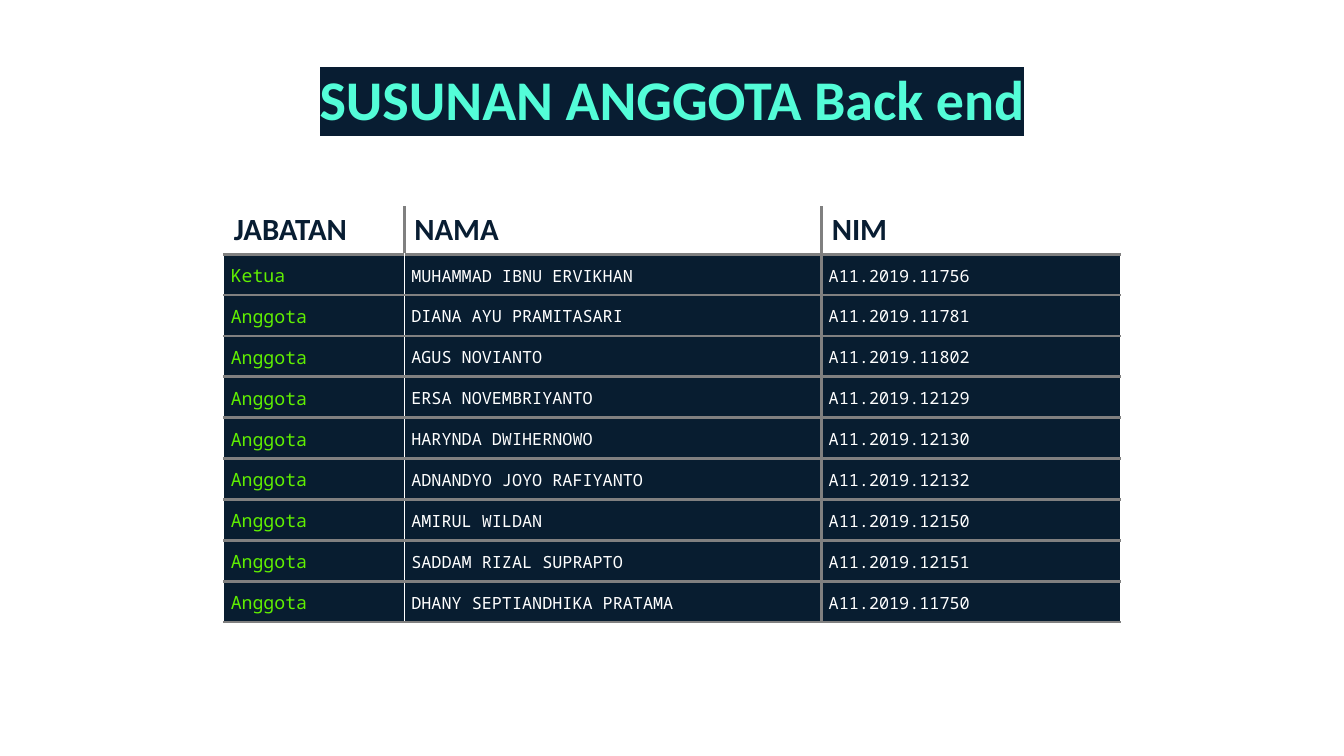
from lxml import etree
from pptx import Presentation
from pptx.dml.color import RGBColor
from pptx.enum.text import MSO_ANCHOR as Anchor, MSO_AUTO_SIZE as AutoSize, PP_ALIGN as Align
from pptx.oxml.ns import qn
from pptx.util import Inches, Pt

NAVY = RGBColor(0x08, 0x1D, 0x30)
INK = RGBColor(0x08, 0x1D, 0x32)
MINT = RGBColor(0x53, 0xFD, 0xD8)
GREEN = RGBColor(0x60, 0xEF, 0x01)
GREY = RGBColor(0x80, 0x80, 0x80)
WHITE = RGBColor(0xFF, 0xFF, 0xFF)

HEADERS = ["JABATAN", "NAMA", "NIM"]
MEMBERS = [
    ("Ketua", "MUHAMMAD IBNU ERVIKHAN", "A11.2019.11756"),
    ("Anggota", "DIANA AYU PRAMITASARI", "A11.2019.11781"),
    ("Anggota", "AGUS NOVIANTO", "A11.2019.11802"),
    ("Anggota", "ERSA NOVEMBRIYANTO", "A11.2019.12129"),
    ("Anggota", "HARYNDA DWIHERNOWO", "A11.2019.12130"),
    ("Anggota", "ADNANDYO JOYO RAFIYANTO", "A11.2019.12132"),
    ("Anggota", "AMIRUL WILDAN", "A11.2019.12150"),
    ("Anggota", "SADDAM RIZAL SUPRAPTO", "A11.2019.12151"),
    ("Anggota", "DHANY SEPTIANDHIKA PRATAMA", "A11.2019.11750"),
]
COLUMN_WIDTHS = [1.79, 4.14, 2.96]
THIN_WHITE = (WHITE, 1)
THICK_GREY = (GREY, 2.25)


def add_color(parent, color):
    etree.SubElement(parent, qn("a:srgbClr"), val=str(color))


def write(frame, text, *, font, size, color, bold=False, align=Align.LEFT,
          highlight=None, spacing=None, after=None):
    para = frame.paragraphs[0]
    para.alignment = align
    para.line_spacing = spacing
    para.space_after = after
    span = para.add_run()
    span.text = text
    span.font.name = font
    span.font.size = Pt(size)
    span.font.bold = bold
    span.font.color.rgb = color
    if highlight is not None:
        mark = etree.Element(qn("a:highlight"))
        add_color(mark, highlight)
        span.font.fill  # the highlight follows the solid fill
        span._r.rPr.find(qn("a:solidFill")).addnext(mark)


def set_borders(cell, **sides):
    """Put the border lines ahead of the cell fill, as the schema asks."""
    properties = cell._tc.get_or_add_tcPr()
    for index, side in enumerate("LRTB"):
        color, width = sides[side]
        line = etree.Element(qn(f"a:ln{side}"), w=str(Pt(width)))
        add_color(etree.SubElement(line, qn("a:solidFill")), color)
        properties.insert(index, line)


class MemberSlide:
    heading_font = "Calibri"
    body_font = "Noto Sans Mono"

    def __init__(self, deck):
        self.page = deck.slides.add_slide(deck.slide_layouts[5])

    def title(self, text, left, top, width, height):
        box = self.page.shapes.title
        box.left, box.top = Inches(left), Inches(top)
        box.width, box.height = Inches(width), Inches(height)
        frame = box.text_frame
        frame.word_wrap = True
        frame.auto_size = AutoSize.NONE
        frame.vertical_anchor = Anchor.TOP
        frame.margin_left = frame.margin_right = Inches(0.1)
        frame.margin_top = frame.margin_bottom = Inches(0.1)
        write(frame, text, font=self.heading_font, size=40, color=MINT,
              bold=True, align=Align.CENTER, highlight=INK)

    def table(self, headers, members, left, top, width, height):
        rows = [headers, *members]
        table = self.page.shapes.add_table(
            len(rows), len(headers), Inches(left), Inches(top),
            Inches(width), Inches(height)).table
        for column, column_width in zip(table.columns, COLUMN_WIDTHS):
            column.width = Inches(column_width)
        header_height = Inches(0.47)
        body_height = (Inches(height) - header_height) // len(members)
        for r, values in enumerate(rows):
            table.rows[r].height = body_height if r else header_height
            for c, text in enumerate(values):
                self.cell(table.cell(r, c), text, r, c)

    def cell(self, cell, text, r, c):
        is_header = r == 0
        cell.fill.solid()
        cell.fill.fore_color.rgb = WHITE if is_header else NAVY
        # The first divider is grey in the header and white below it
        dividers = [THIN_WHITE, THICK_GREY if is_header else THIN_WHITE,
                    THICK_GREY, THIN_WHITE]
        set_borders(cell, L=dividers[c], R=dividers[c + 1],
                    T=THIN_WHITE if is_header else THICK_GREY, B=THICK_GREY)
        if is_header:
            write(cell.text_frame, text, font=self.heading_font, size=22,
                  color=INK, bold=True)
            return
        cell.vertical_anchor = Anchor.MIDDLE
        cell.margin_left = cell.margin_right = Inches(0.07)
        cell.margin_top = cell.margin_bottom = 0
        write(cell.text_frame, text, font=self.body_font,
              size=13 if c == 0 else 12, color=GREEN if c == 0 else WHITE,
              spacing=1.07, after=Pt(8))


def main():
    deck = Presentation()
    deck.slide_width, deck.slide_height = Inches(13.33), Inches(7.5)
    slide = MemberSlide(deck)
    # Heading
    slide.title("SUSUNAN ANGGOTA Back end", 1.05, 0.54, 11.23, 0.84)
    # Member list
    slide.table(HEADERS, MEMBERS, 2.22, 2.05, 8.89, 4.12)
    deck.save("out.pptx")


if __name__ == "__main__":
    main()
